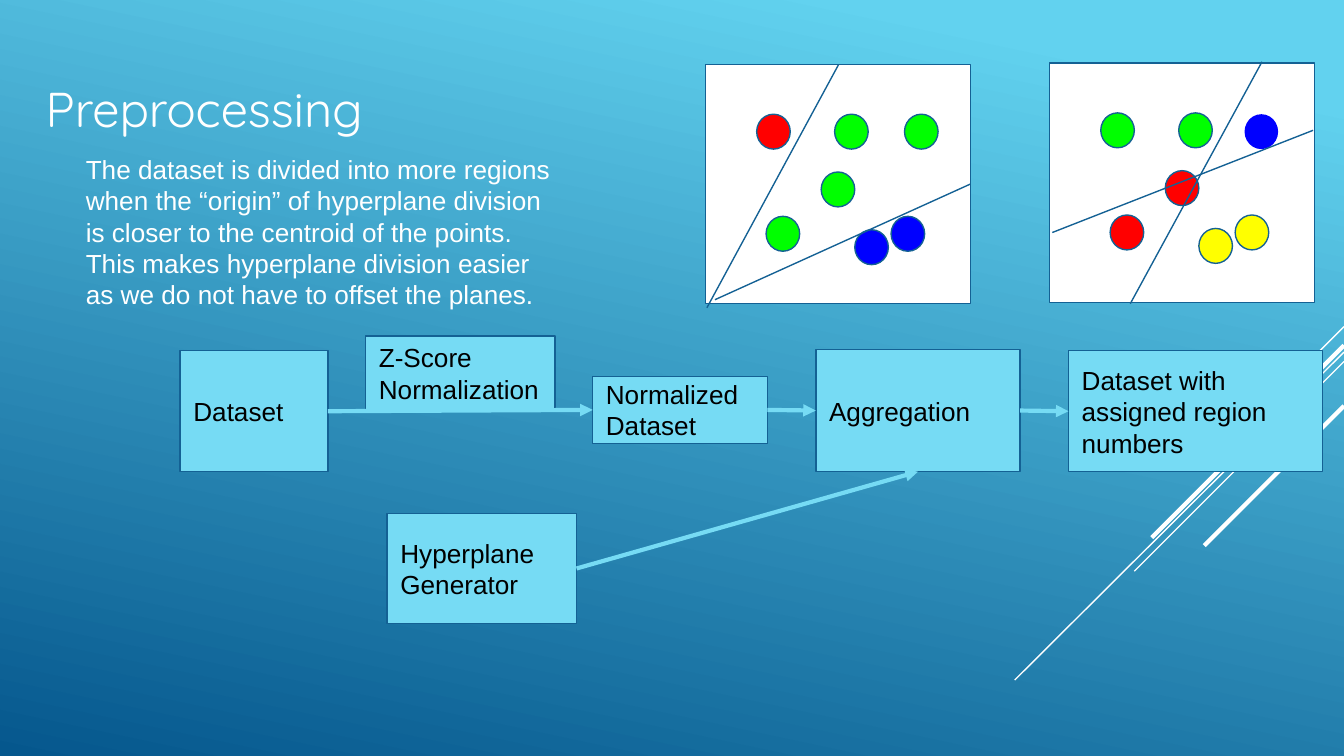
from dataclasses import dataclass
from typing import Optional

from lxml import etree
from pptx import Presentation
from pptx.dml.color import RGBColor
from pptx.enum.shapes import MSO_CONNECTOR, MSO_SHAPE
from pptx.enum.text import MSO_ANCHOR, PP_ALIGN
from pptx.oxml.ns import qn
from pptx.util import Inches, Pt

STRAIGHT = MSO_CONNECTOR.STRAIGHT
RECTANGLE, OVAL = MSO_SHAPE.RECTANGLE, MSO_SHAPE.OVAL
MIDDLE, TOP = MSO_ANCHOR.MIDDLE, MSO_ANCHOR.TOP
LEFT = PP_ALIGN.LEFT
LEFT_SITE, BOTTOM_SITE, RIGHT_SITE = 1, 2, 3

WHITE = RGBColor(0xFF, 0xFF, 0xFF)
BLACK = RGBColor(0x00, 0x00, 0x00)
SKY = RGBColor(0x62, 0xD2, 0xEF)
DEEP = RGBColor(0x05, 0x57, 0x8D)
AQUA = RGBColor(0x76, 0xDB, 0xF4)
EDGE = RGBColor(0x14, 0x61, 0x94)
RED = RGBColor(0xFF, 0x00, 0x00)
GREEN = RGBColor(0x00, 0xFF, 0x00)
BLUE = RGBColor(0x00, 0x00, 0xFF)
YELLOW = RGBColor(0xFF, 0xFF, 0x00)

PAGE_WIDTH = Inches(10)
PAGE_HEIGHT = PAGE_WIDTH * 9 // 16
THIN, THICK = 0.75, 2.25
PANEL_SIZE = (1.97, 1.78)
POINT_SIZE = (0.25, 0.26)
POINT_OFFSETS = ((0.38, 0.37), (0.86, 0.8), (0.96, 0.37), (1.38, 1.13),
                 (1.11, 1.23), (0.45, 1.13))


@dataclass
class Line:
    x1: float
    y1: float
    x2: float
    y2: float
    width: float = THIN


@dataclass
class Step:
    text: str
    left: float
    top: float
    width: float
    height: float


@dataclass
class Panel:
    left: float
    top: float
    colors: tuple
    corner_offset: tuple
    corner_color: RGBColor
    corner_edge: Optional[RGBColor]
    planes: tuple


RAYS = (
    Line(10, 2.43, 9.25, 3.18),
    Line(10, 2.62, 7.55, 5.06),
    Line(10, 2.69, 8.44, 4.25),
    Line(10, 2.57, 8.57, 4, THICK),
    Line(10, 3.02, 8.96, 4.06, THICK),
)
STEPS = {
    "dataset": Step("Dataset", 1.34, 2.61, 1.1, 0.9),
    "z_score": Step("Z-Score Normalization", 2.72, 2.5, 1.41, 0.55),
    "normalized": Step("Normalized Dataset", 4.41, 2.8, 1.3, 0.5),
    "generator": Step("Hyperplane Generator", 2.88, 3.82, 1.41, 0.82),
    "aggregation": Step("Aggregation", 6.07, 2.6, 1.52, 0.91),
    "assigned": Step("Dataset with assigned region numbers", 7.95, 2.61, 1.89, 0.9),
}
FLOWS = (
    ("dataset", "normalized", LEFT_SITE),
    ("normalized", "aggregation", LEFT_SITE),
    ("generator", "aggregation", BOTTOM_SITE),
    ("aggregation", "assigned", LEFT_SITE),
)
PANELS = (
    Panel(5.25, 0.48, (RED, GREEN, GREEN, BLUE, BLUE, GREEN),
          (1.48, 0.37), GREEN, EDGE,
          (Line(5.26, 2.29, 6.24, 0.48), Line(5.32, 2.23, 7.22, 1.37))),
    Panel(7.81, 0.47, (GREEN, RED, GREEN, YELLOW, YELLOW, RED),
          (1.45, 0.38), BLUE, None,
          (Line(8.41, 2.26, 9.39, 0.46), Line(7.83, 1.73, 9.77, 0.97))),
)
INTRO = ("The dataset is divided into more regions when the “origin” of hyperplane "
         "division is closer to the centroid of the points. This makes hyperplane "
         "division easier as we do not have to offset the planes.")


def paint_background(page) -> None:
    fill = page.background.fill
    fill.gradient()
    fill.gradient_angle = 360 - 102
    for stop, position, color in zip(fill.gradient_stops, (0.1, 1), (SKY, DEEP)):
        stop.position = position
        stop.color.rgb = color


def add_line(page, line: Line, color: RGBColor):
    ends = [Inches(value) for value in (line.x1, line.y1, line.x2, line.y2)]
    connector = page.shapes.add_connector(STRAIGHT, *ends)
    connector.line.color.rgb = color
    connector.line.width = Pt(line.width)
    etree.SubElement(connector._element.spPr, qn("a:effectLst"))
    return connector


def add_flow(page, source, target, site: int) -> None:
    connector = add_line(page, Line(0, 0, 1, 1, THICK), AQUA)
    connector.begin_connect(source, RIGHT_SITE)
    connector.end_connect(target, site)
    etree.SubElement(connector.line._get_or_add_ln(), qn("a:tailEnd"), type="triangle")


def add_figure(page, kind, place: tuple, color: RGBColor, edge: Optional[RGBColor] = EDGE):
    figure = page.shapes.add_shape(kind, *(Inches(value) for value in place))
    figure.shadow.inherit = False
    figure.fill.solid()
    figure.fill.fore_color.rgb = color
    if edge is None:
        figure.line.fill.background()
    else:
        figure.line.color.rgb = edge
        figure.line.width = Pt(THIN)
    return figure


def write_text(box, text: str, color: RGBColor, size: float = 14, name: str = "Arial",
               side: float = 0.1, anchor=MIDDLE) -> None:
    frame_format = {
        "word_wrap": True, "vertical_anchor": anchor,
        "margin_left": Inches(side), "margin_right": Inches(side),
        "margin_top": Inches(0.1), "margin_bottom": Inches(0.1),
    }
    for key, value in frame_format.items():
        setattr(box.text_frame, key, value)
    para = box.text_frame.paragraphs[0]
    para.alignment = LEFT
    span = para.add_run()
    span.text = text
    for key, value in {"size": Pt(size), "name": name}.items():
        setattr(span.font, key, value)
    span.font.color.rgb = color


def add_step(page, step: Step):
    box = add_figure(page, RECTANGLE, (step.left, step.top, step.width, step.height), AQUA)
    write_text(box, step.text, BLACK)
    return box


def add_panel(page, panel: Panel) -> None:
    add_figure(page, RECTANGLE, (panel.left, panel.top, *PANEL_SIZE), WHITE)
    points = [(offset, color, EDGE) for offset, color in zip(POINT_OFFSETS, panel.colors)]
    points.append((panel.corner_offset, panel.corner_color, panel.corner_edge))
    for (right, down), color, edge in points:
        place = (panel.left + right, panel.top + down, *POINT_SIZE)
        add_figure(page, OVAL, place, color, edge)
    for plane in panel.planes:
        add_line(page, plane, EDGE)


def main() -> None:
    deck = Presentation()
    deck.slide_width, deck.slide_height = PAGE_WIDTH, PAGE_HEIGHT
    page = deck.slides.add_slide(deck.slide_layouts[6])
    paint_background(page)
    for ray in RAYS:
        add_line(page, ray, WHITE)

    title = page.shapes.add_textbox(Inches(0.34), Inches(0.49), Inches(3.07), Inches(0.63))
    write_text(title, "Preprocessing", WHITE, 26.2, "Quicksand", 0)
    intro = page.shapes.add_textbox(Inches(0.54), Inches(1.04), Inches(3.74), Inches(1.36))
    write_text(intro, INTRO, WHITE, anchor=TOP)

    boxes = {key: add_step(page, step) for key, step in STEPS.items()}
    for source, target, site in FLOWS:
        add_flow(page, boxes[source], boxes[target], site)
    for panel in PANELS:
        add_panel(page, panel)
    deck.save("out.pptx")


if __name__ == "__main__":
    main()
